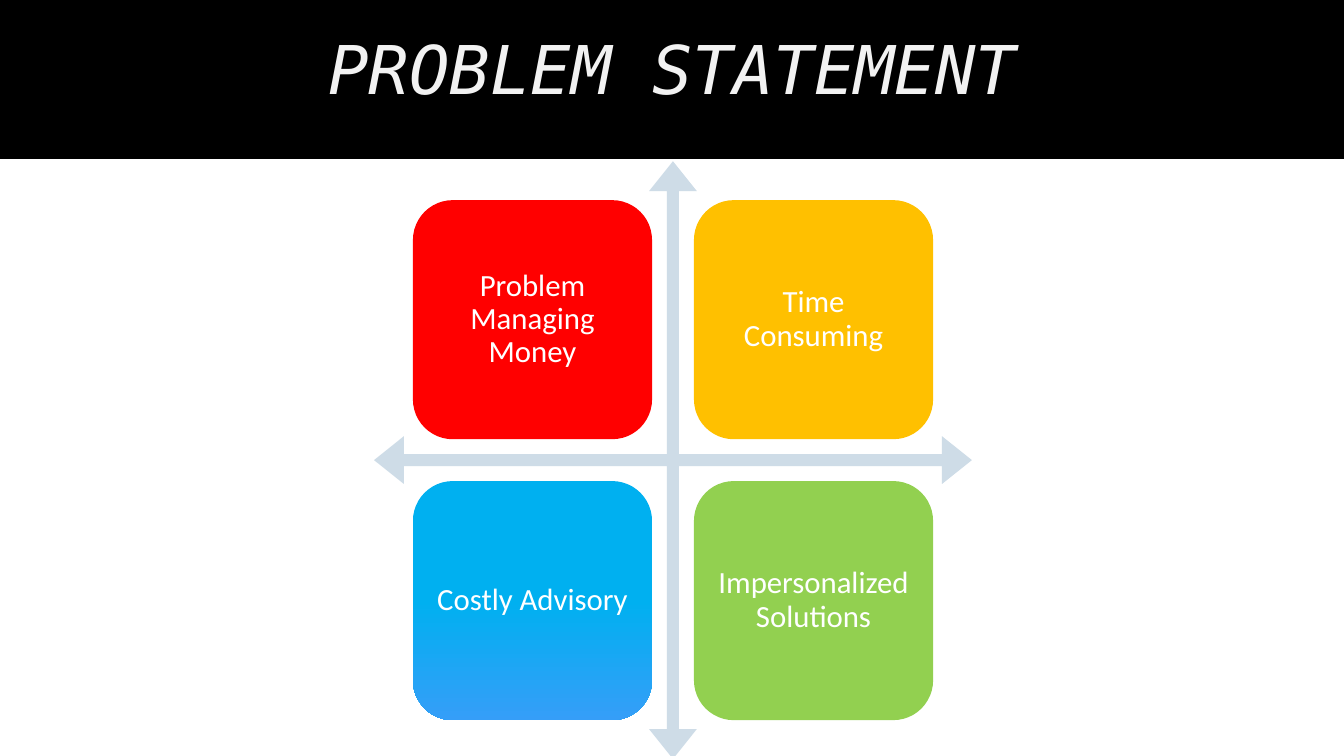
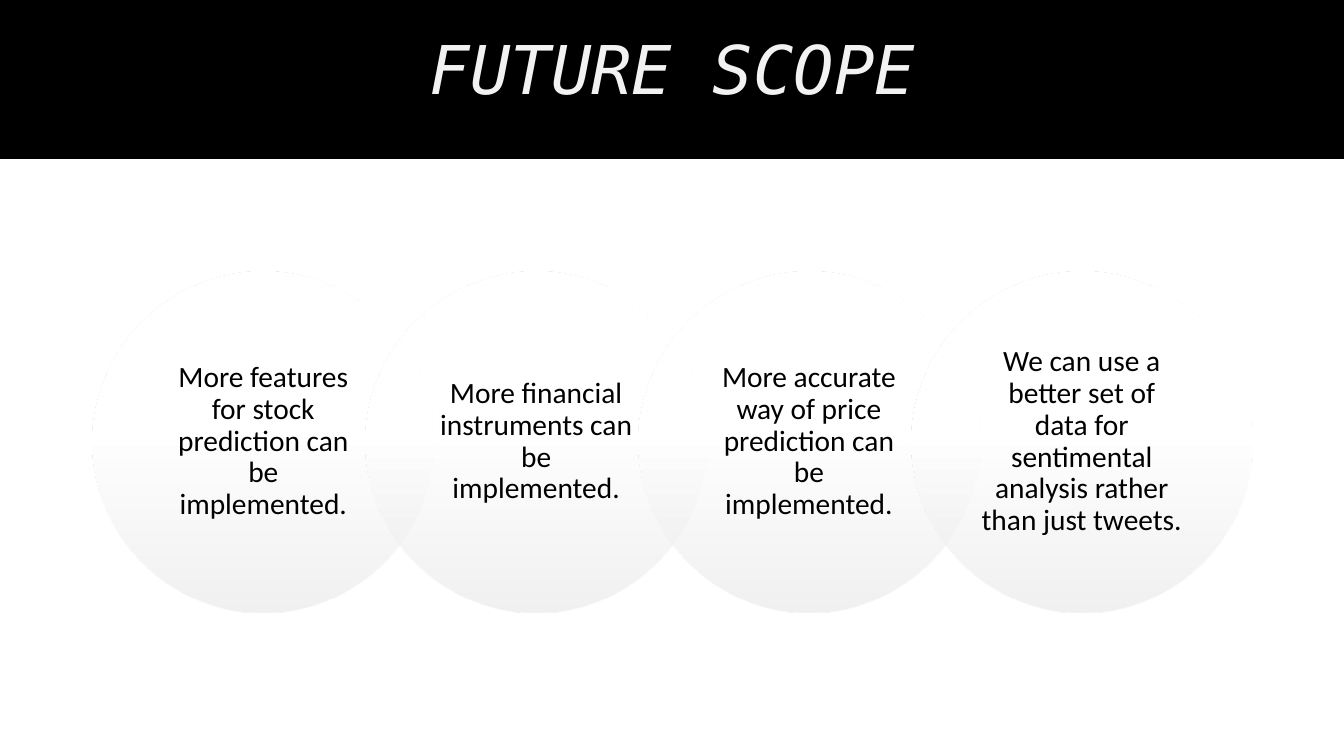
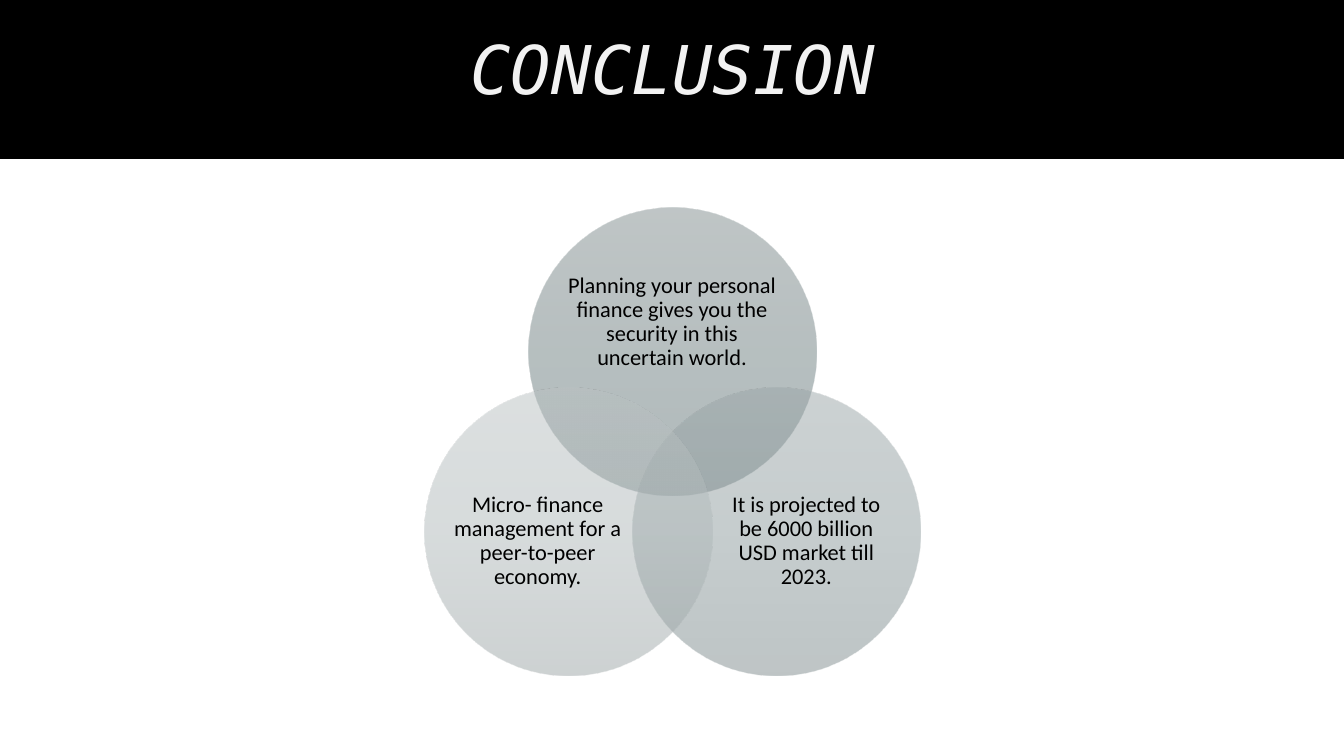
import math

from lxml import etree
from pptx import Presentation
from pptx.dml.color import RGBColor
from pptx.enum import shapes, text
from pptx.oxml.ns import qn
from pptx.util import Inches, Pt

COLORS = {
    "band": "000000", "page": "FFFFFF", "title": "F2F2F2",
    "dark": "000000", "light": "FFFFFF", "arrows": "CEDCE7",
    "red": "FF0000", "amber": "FFC000", "green": "92D050",
    "blue": "00B0F0", "blue_end": "359EF8",
    "mist": "FFFFFF", "mist_end": "E3E3E3",
}
TITLE_FONT, BODY_FONT = "DejaVu Sans Mono", "Calibri"
BAND_SHARE = 21  # percent of the slide height
SHAPE = shapes.MSO_SHAPE
MIST = [(0, COLORS["mist"]), (50, COLORS["mist"]), (100, COLORS["mist_end"])]
BLUE = [(0, COLORS["blue"]), (50, COLORS["blue"]), (100, COLORS["blue_end"])]


def fill_gradient(fill, element, stops, alpha=100):
    """Fill from top to bottom; stops are (percent, hex), element holds the fill."""
    fill.gradient()
    fill.gradient_angle = 270
    stop_list = next(element.iter(qn("a:gsLst")))
    for old_stop in list(stop_list):
        stop_list.remove(old_stop)
    for percent, color in stops:
        stop = etree.SubElement(stop_list, qn("a:gs"), pos=str(percent * 1000))
        rgb = etree.SubElement(stop, qn("a:srgbClr"), val=color)
        if alpha < 100:
            etree.SubElement(rgb, qn("a:alpha"), val=str(alpha * 1000))


def add_filled(slide, kind, box, fill, alpha=100):
    """Add a borderless shape; fill is a hex colour or a list of gradient stops."""
    shape = slide.shapes.add_shape(kind, *map(Inches, box))
    shape.shadow.inherit = False
    shape.line.fill.background()
    if isinstance(fill, str):
        shape.fill.solid()
        shape.fill.fore_color.rgb = RGBColor.from_string(fill)
    else:
        fill_gradient(shape.fill, shape._element, fill, alpha)
    return shape


def write(frame, words, size, color, insets=(0.1, 0.05), font=BODY_FONT, italic=None):
    frame.word_wrap = True
    frame.vertical_anchor = text.MSO_ANCHOR.MIDDLE
    frame.margin_left = frame.margin_right = Inches(insets[0])
    frame.margin_top = frame.margin_bottom = Inches(insets[1])
    paragraph = frame.paragraphs[0]
    paragraph.alignment = text.PP_ALIGN.CENTER
    paragraph.line_spacing = 0.9
    run = paragraph.add_run()
    run.text = words
    run.font.name, run.font.size, run.font.italic = font, Pt(size), italic
    run.font.color.rgb = RGBColor.from_string(color)


def set_background(master):
    stops = [(0, COLORS["band"]), (BAND_SHARE, COLORS["band"]),
             (BAND_SHARE, COLORS["page"]), (100, COLORS["page"])]
    fill_gradient(master.background.fill, master._element, stops)


def add_titled_slide(prs, title):
    slide = prs.slides.add_slide(prs.slide_layouts[6])
    heading = slide.shapes.add_textbox(Inches(0.92), 0, Inches(11.5), Inches(1.45))
    write(heading.text_frame, title, 48, COLORS["title"], font=TITLE_FONT, italic=True)
    return slide


def add_problem_matrix(slide, left, top, size, problems):
    """Four tiles in the quarters of a crossed arrow, row by row."""
    arrows = add_filled(slide, SHAPE.QUAD_ARROW, (left, top, size, size), COLORS["arrows"])
    for index, share in enumerate((0.02, 0.04, 0.05)):
        arrows.adjustments[index] = share
    tile = 0.4 * size
    inset = 0.065 * size
    step = size - 2 * inset - tile
    for index, (problem, fill) in enumerate(problems):
        row, column = divmod(index, 2)
        box = (left + inset + column * step, top + inset + row * step, tile, tile)
        card = add_filled(slide, SHAPE.ROUNDED_RECTANGLE, box, fill)
        write(card.text_frame, problem, 22, COLORS["light"], (0.09, 0.09))


def add_circle_chain(slide, left, top, width, ideas):
    """Circles in a row, each overlapping the next by a fifth."""
    pitch = 0.8
    diameter = width / (1 + pitch * (len(ideas) - 1))
    for index, idea in enumerate(ideas):
        box = (left + index * pitch * diameter, top, diameter, diameter)
        circle = add_filled(slide, SHAPE.OVAL, box, MIST, 50)
        write(circle.text_frame, idea, 21, COLORS["dark"], (0.19, 0.03))


def add_venn(slide, center_x, center_y, diameter, findings):
    """Circles round a centre, clockwise from the top; label boxes are relative to each."""
    orbit = diameter / 2.4
    for index, (finding, tones, label_box) in enumerate(findings):
        angle = math.tau * index / len(findings)
        left = center_x + orbit * math.sin(angle) - diameter / 2
        top = center_y - orbit * math.cos(angle) - diameter / 2
        add_filled(slide, SHAPE.OVAL, (left, top, diameter, diameter),
                   list(zip((0, 50, 100), tones)), 50)
        dx, dy, width, height = label_box
        label = slide.shapes.add_textbox(
            *map(Inches, (left + dx, top + dy, width, height)))
        write(label.text_frame, finding, 16, COLORS["dark"], (0, 0))


def main():
    prs = Presentation()
    prs.slide_width, prs.slide_height = Inches(13.33), Inches(7.5)
    set_background(prs.slide_master)

    add_problem_matrix(add_titled_slide(prs, "PROBLEM STATEMENT"), 3.71, 1.6, 5.93, [
        ("Problem Managing Money", COLORS["red"]),
        ("Time Consuming", COLORS["amber"]),
        ("Costly Advisory", BLUE),
        ("Impersonalized Solutions", COLORS["green"]),
    ])
    add_circle_chain(add_titled_slide(prs, "FUTURE SCOPE"), 0.92, 2.69, 11.5, [
        "More features for stock prediction can be implemented.",
        "More financial instruments can be implemented.",
        "More accurate way of price prediction can be implemented.",
        "We can use a better set of data for sentimental analysis rather than just tweets.",
    ])
    add_venn(add_titled_slide(prs, "CONCLUSION"), 6.67, 4.68, 2.86, [
        ("Planning your personal finance gives you the security in this uncertain world.",
         ("808E8F", "6E8082", "617274"), (0.38, 0.5, 2.09, 1.28)),
        ("It is projected to be 6000 billion USD market till 2023.",
         ("9CA7A9", "8F9D9F", "7E8C8E"), (0.87, 0.74, 1.71, 1.57)),
        ("Micro- finance management for a peer-to-peer economy.",
         ("BBC2C3", "B1BABB", "9DA6A7"), (0.27, 0.74, 1.71, 1.57)),
    ])
    prs.save("out.pptx")


if __name__ == "__main__":
    main()
